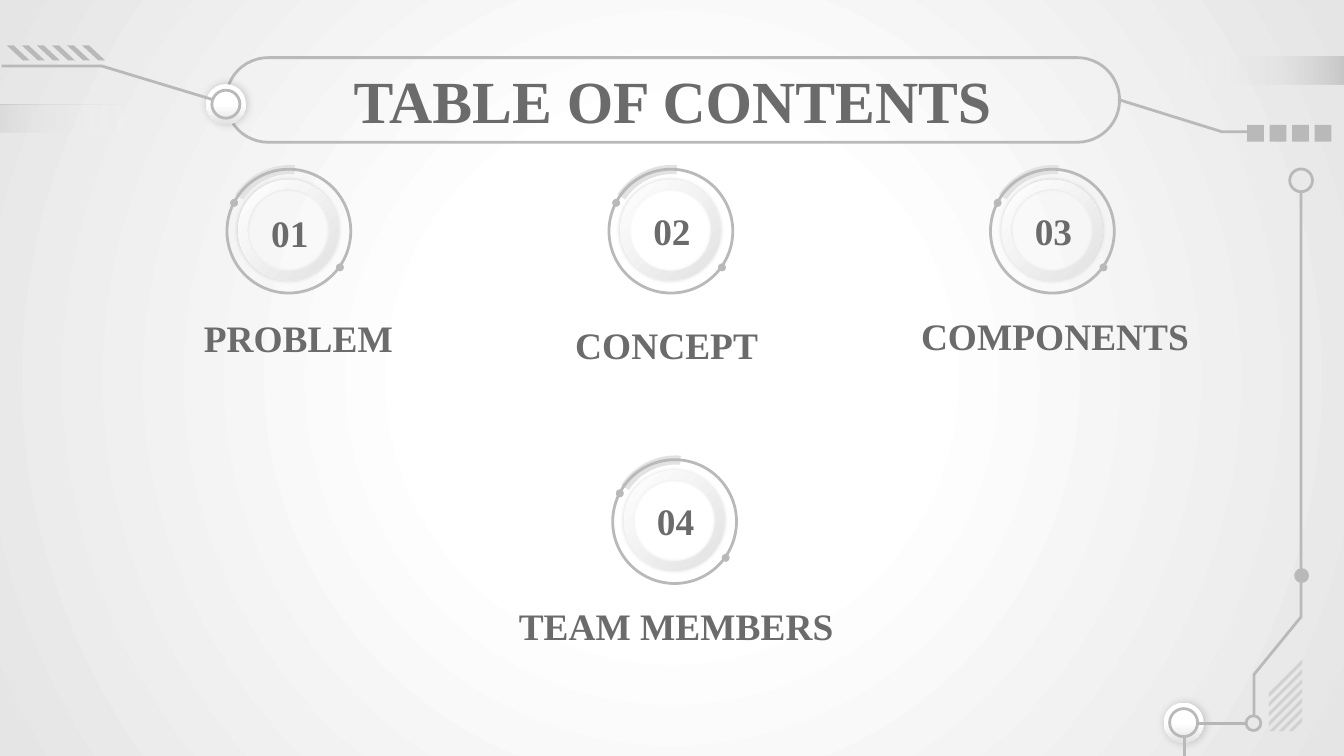
"""Build a table of contents slide with four numbered badges and circuit-style ornaments."""
from dataclasses import dataclass

from pptx import Presentation
from pptx.dml.color import RGBColor
from pptx.enum.shapes import MSO_CONNECTOR as Connector, MSO_SHAPE as Preset
from pptx.enum.text import MSO_ANCHOR as Anchor, MSO_AUTO_SIZE as AutoSize, PP_ALIGN as Align
from pptx.oxml import parse_xml
from pptx.oxml.ns import nsdecls, qn
from pptx.util import Cm, Pt


@dataclass(frozen=True)
class Theme:
    font: str = "Times New Roman"
    title_size: int = 32
    label_size: int = 20
    line_width: float = 1.5
    text: str = "6B6B6B"
    accent: str = "B9B9B9"
    connector: str = "B4B6B9"
    hatch: str = "D1D1D1"
    arc: str = "E2E2E2"
    backdrop: tuple = ((0, "FFFFFF", 100), (32, "FFFFFF", 100), (100, "E5E5E5", 100))
    fade: tuple = ((0, "B9B9B9", 100), (43, "DCDCDC", 42), (100, "FFFFFF", 0))
    bevel: tuple = ((0, "FFFFFF", 100), (100, "E2E2E2", 100))
    knob: tuple = ((0, "FFFFFF", 100), (50, "FFFFFF", 100), (100, "E2E2E2", 100))


def style(shape, fill=None, line=None, shadow=None):
    """Set a solid fill, an outline and an outer shadow (opacity, blur, distance)."""
    shape.shadow.inherit = False
    if fill:
        shape.fill.solid()
        shape.fill.fore_color.rgb = RGBColor.from_string(fill)
    else:
        shape.fill.background()
    if line:
        shape.line.color.rgb = RGBColor.from_string(line)
        shape.line.width = Pt(theme.line_width)
    else:
        shape.line.fill.background()
    if shadow:
        opacity, blur, distance = shadow
        shape._element.spPr.find(qn("a:effectLst")).append(parse_xml(
            f'<a:outerShdw {nsdecls("a")} blurRad="{Pt(blur)}" dist="{Pt(distance)}" dir="0" '
            f'algn="ctr" rotWithShape="0"><a:srgbClr val="000000">'
            f'<a:alpha val="{opacity * 1000}"/></a:srgbClr></a:outerShdw>'))
    return shape


def shade(fill, element, stops, angle=None):
    """Fill with gradient stops, linear at an angle or else circular."""
    fill.gradient()
    colours = "".join(
        f'<a:gs pos="{position * 1000}"><a:srgbClr val="{colour}">'
        f'<a:alpha val="{opacity * 1000}"/></a:srgbClr></a:gs>'
        for position, colour, opacity in stops)
    if angle is None:
        course = '<a:path path="circle"><a:fillToRect l="50000" t="50000" r="50000" b="50000"/></a:path>'
    else:
        course = f'<a:lin ang="{angle * 60000}" scaled="0"/>'
    blank = element.find(".//" + qn("a:gradFill"))
    blank.getparent().replace(blank, parse_xml(
        f'<a:gradFill {nsdecls("a")} rotWithShape="1"><a:gsLst>{colours}</a:gsLst>{course}</a:gradFill>'))


theme = Theme()
presentation = Presentation()
presentation.slide_width, presentation.slide_height = Cm(25.4), Cm(14.29)
slide = presentation.slides.add_slide(presentation.slide_layouts[5])
shapes = slide.shapes
shade(slide.background.fill, slide._element, theme.backdrop)

for left, top, flipped in ((22.1, 1.07, True), (-1.14, 1.98, False)):
    band = style(shapes.add_shape(Preset.PARALLELOGRAM, Cm(left), Cm(top), Cm(3.71), Cm(0.53)))
    shade(band.fill, band._element, theme.fade, 0)
    if flipped:
        band._element.spPr.xfrm.set("flipH", "1")

frame = style(shapes.add_shape(Preset.ROUNDED_RECTANGLE, Cm(4.27), Cm(1.09), Cm(16.89), Cm(1.6)),
              line=theme.accent)
frame.adjustments[0] = 0.5

title = shapes.title
title.left, title.top, title.width, title.height = Cm(2.01), Cm(1.09), Cm(21.41), Cm(1.6)
texts = [(title, "TABLE OF CONTENTS", theme.title_size)]

sections = (
    ("01", "PROBLEM", 4.29, 3.2, 3.91, 2.16, 5.89),
    ("02", "CONCEPT", 11.51, 3.2, 3.86, 9.12, 6.02),
    ("03", "COMPONENTS", 18.72, 3.2, 3.86, 16.46, 5.84),
    ("04", "TEAM MEMBERS", 11.58, 8.69, 9.35, 9.3, 11.33),
)
badge_parts = (
    (Preset.BLOCK_ARC, -0.04, -0.08, 2.46, theme.arc, None, None),
    (Preset.OVAL, 0, 0, 2.34, None, theme.accent, None),
    (Preset.OVAL, 2.06, 1.78, 0.15, theme.accent, None, None),
    (Preset.OVAL, 0.06, 0.56, 0.15, theme.accent, None, None),
    (Preset.DONUT, 0.21, 0.2, 1.9, None, None, (14, 2.2, 0)),
)
for number, label, left, top, number_top, label_left, label_top in sections:
    badge = shapes.add_group_shape()
    for preset, right_by, down_by, size, fill, line, shadow in badge_parts:
        part = style(badge.shapes.add_shape(preset, Cm(left + right_by), Cm(top + down_by), Cm(size), Cm(size)),
                     fill, line, shadow)
        if preset == Preset.BLOCK_ARC:
            part.rotation = 105
            part.adjustments[0] = 108.12 * 0.6
            part.adjustments[1] = 169.54 * 0.6
            part.adjustments[2] = 0.07
        elif preset == Preset.DONUT:
            part.adjustments[0] = 0.09
            shade(part.fill, part._element, theme.bevel, 45)
    number_box = shapes.add_textbox(Cm(left + 0.34), Cm(number_top), Cm(1.7), Cm(0.99))
    label_box = shapes.add_textbox(Cm(label_left), Cm(label_top), Cm(6.96), Cm(0.99))
    texts += [(number_box, number, theme.label_size), (label_box, label, theme.label_size)]

for box, text, size in texts:
    text_frame = box.text_frame
    text_frame.text = text
    text_frame.word_wrap = True
    text_frame.auto_size = AutoSize.NONE
    text_frame.vertical_anchor = Anchor.MIDDLE
    text_frame.margin_left = text_frame.margin_right = Cm(0.25)
    text_frame.margin_top = text_frame.margin_bottom = Cm(0.25)
    paragraph = text_frame.paragraphs[0]
    paragraph.alignment = Align.CENTER
    font = paragraph.runs[0].font
    font.name, font.size, font.bold = theme.font, Pt(size), True
    font.color.rgb = RGBColor.from_string(theme.text)

knob_centres = ((4.27, 1.97), (22.37, 13.66))
for x, y in knob_centres:
    knob = style(shapes.add_shape(Preset.OVAL, Cm(x - 0.38), Cm(y - 0.38), Cm(0.76), Cm(0.76)),
                 shadow=(19, 4.5, 0.8))
    shade(knob.fill, knob._element, theme.knob, 90)

circles = [(x, y, 0.53, None, theme.accent) for x, y in knob_centres]
circles += [
    (24.59, 3.41, 0.43, None, theme.accent),
    (23.69, 13.67, 0.28, None, theme.accent),
    (24.6, 10.88, 0.28, theme.accent, None),
]
for x, y, size, fill, line in circles:
    style(shapes.add_shape(Preset.OVAL, Cm(x - size / 2), Cm(y - size / 2), Cm(size), Cm(size)), fill, line)

for index in range(4):
    style(shapes.add_shape(Preset.RECTANGLE, Cm(23.57 + index * 0.425), Cm(2.36), Cm(0.32), Cm(0.32)),
          theme.accent)

outlines = [
    (((23.62, 2.49), (23.09, 2.49), (21.13, 1.88)), None, theme.accent),
    (((0.03, 1.25), (1.93, 1.25), (4.01, 1.88)), None, theme.accent),
    (((23.7, 13.54), (23.7, 12.75), (24.59, 11.66), (24.59, 3.63)), None, theme.accent),
]
for index in range(6):
    x = 0.13 + index * 0.285
    outlines.append((((x, 0.86), (x + 0.3, 1.14), (x + 0.43, 1.14), (x + 0.13, 0.86)), theme.accent, None))

hatch_right, hatch_bottom, hatch_width, hatch_thickness = 24.61, 13.82, 0.63, 0.08
for index in range(7):
    upper = 12.47 + index * 0.182
    lower = upper + hatch_thickness
    upper_reach = min(hatch_width, hatch_bottom - upper)
    lower_reach = min(hatch_width, hatch_bottom - lower)
    outlines.append((((hatch_right, upper), (hatch_right - upper_reach, upper + upper_reach),
                      (hatch_right - lower_reach, lower + lower_reach), (hatch_right, lower)),
                     theme.hatch, None))

for points, fill, line in outlines:
    start, *others = [(Cm(x), Cm(y)) for x, y in points]
    builder = shapes.build_freeform(*start)
    builder.add_line_segments(others, close=fill is not None)
    style(builder.convert_to_shape(), fill, line)

for x1, y1, x2, y2, colour in ((23.55, 13.67, 22.61, 13.67, theme.connector),
                               (22.38, 13.92, 22.38, 14.35, theme.accent)):
    wire = shapes.add_connector(Connector.STRAIGHT, Cm(x1), Cm(y1), Cm(x2), Cm(y2))
    wire.line.color.rgb = RGBColor.from_string(colour)
    wire.line.width = Pt(theme.line_width)
    wire._element.spPr.append(parse_xml(f'<a:effectLst {nsdecls("a")}/>'))

presentation.save("out.pptx")
